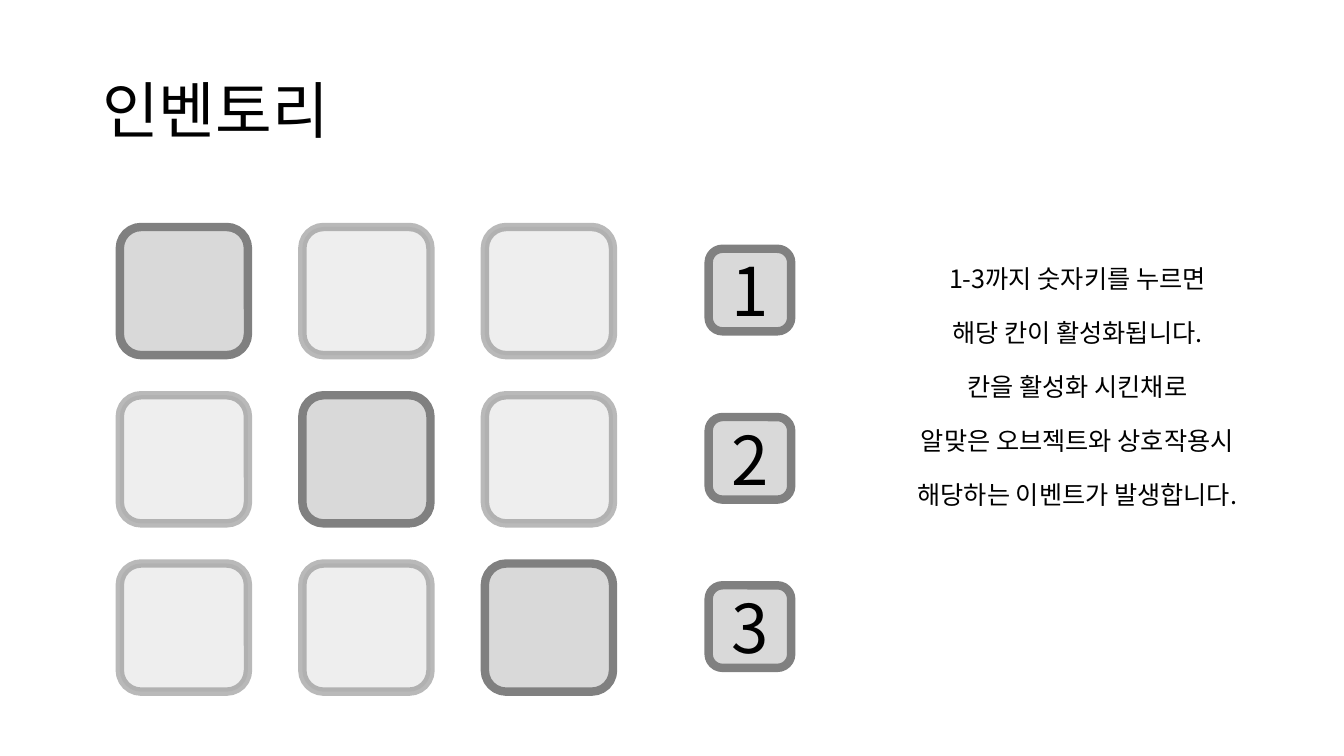
from lxml import etree
from pptx import Presentation
from pptx.dml.color import RGBColor
from pptx.enum import shapes, text
from pptx.oxml import ns
from pptx.util import Cm, Pt

FONT = "Noto Sans CJK KR"
INK, SLOT_FILL, SLOT_EDGE = "000000", "D9D9D9", "808080"
ROW_PITCH = 4.24
GUIDE = [
    "1-3까지 숫자키를 누르면",
    "해당 칸이 활성화됩니다.",
    "칸을 활성화 시킨채로",
    "알맞은 오브젝트와 상호작용시",
    "해당하는 이벤트가 발생합니다.",
]


def color(hex_value):
    return RGBColor.from_string(hex_value)


def set_alpha(fill, percent):
    """Make a solid fill partly transparent."""
    swatch = fill._xPr.find(ns.qn("a:solidFill"))[0]
    etree.SubElement(swatch, ns.qn("a:alpha"), val=str(percent * 1000))


def add_words(paragraph, words, size):
    run = paragraph.add_run()
    run.text = words
    run.font.size = Pt(size)
    run.font.name = FONT
    run.font.color.rgb = color(INK)
    east_asian = etree.SubElement(run.font._element, ns.qn("a:ea"))
    east_asian.set("typeface", FONT)


def add_tile(slide, left, top, side, active=True):
    tile = slide.shapes.add_shape(
        shapes.MSO_SHAPE.ROUNDED_RECTANGLE, Cm(left), Cm(top), Cm(side), Cm(side))
    tile.shadow.inherit = False
    tile.fill.solid()
    tile.fill.fore_color.rgb = color(SLOT_FILL)
    tile.line.width = Pt(6)
    tile.line.color.rgb = color(SLOT_EDGE)
    if not active:
        set_alpha(tile.fill, 43)
        set_alpha(tile.line.fill, 55)
    return tile


def add_heading(slide, left, top, width, height):
    heading = slide.shapes.add_textbox(Cm(left), Cm(top), Cm(width), Cm(height))
    frame = heading.text_frame
    frame.word_wrap = True
    frame.vertical_anchor = text.MSO_ANCHOR.MIDDLE
    frame.paragraphs[0].line_spacing = 0.9
    add_words(frame.paragraphs[0], "인벤토리", 44)


def add_inventory(slide, left, top, side, column_pitch):
    # Each row shows the inventory with one slot active
    for row in range(3):
        for column in range(3):
            add_tile(slide, left + column * column_pitch, top + row * ROW_PITCH,
                     side, active=row == column)


def add_number_keys(slide, left, top, side):
    for row in range(3):
        key = add_tile(slide, left, top + row * ROW_PITCH, side)
        frame = key.text_frame
        frame.vertical_anchor = text.MSO_ANCHOR.MIDDLE
        frame.paragraphs[0].alignment = text.PP_ALIGN.CENTER
        add_words(frame.paragraphs[0], str(row + 1), 48)


def add_guide(slide, left, top, width, height):
    guide = slide.shapes.add_textbox(Cm(left), Cm(top), Cm(width), Cm(height))
    frame = guide.text_frame
    frame.word_wrap = True
    for index, sentence in enumerate(GUIDE):
        line = frame.paragraphs[0] if index == 0 else frame.add_paragraph()
        line.alignment = text.PP_ALIGN.CENTER
        if index:
            line.space_before = Pt(17)
        add_words(line, sentence, 18)


def main():
    deck = Presentation()
    deck.slide_width, deck.slide_height = Cm(33.87), Cm(19.05)
    slide = deck.slides.add_slide(deck.slide_layouts[6])
    add_heading(slide, 2.33, 1.01, 29.21, 3.68)
    add_inventory(slide, 3.02, 5.72, 3.23, 4.6)
    add_number_keys(slide, 17.86, 6.27, 2.08)
    add_guide(slide, 21.31, 6.5, 11.68, 10.26)
    deck.save("out.pptx")


if __name__ == "__main__":
    main()
